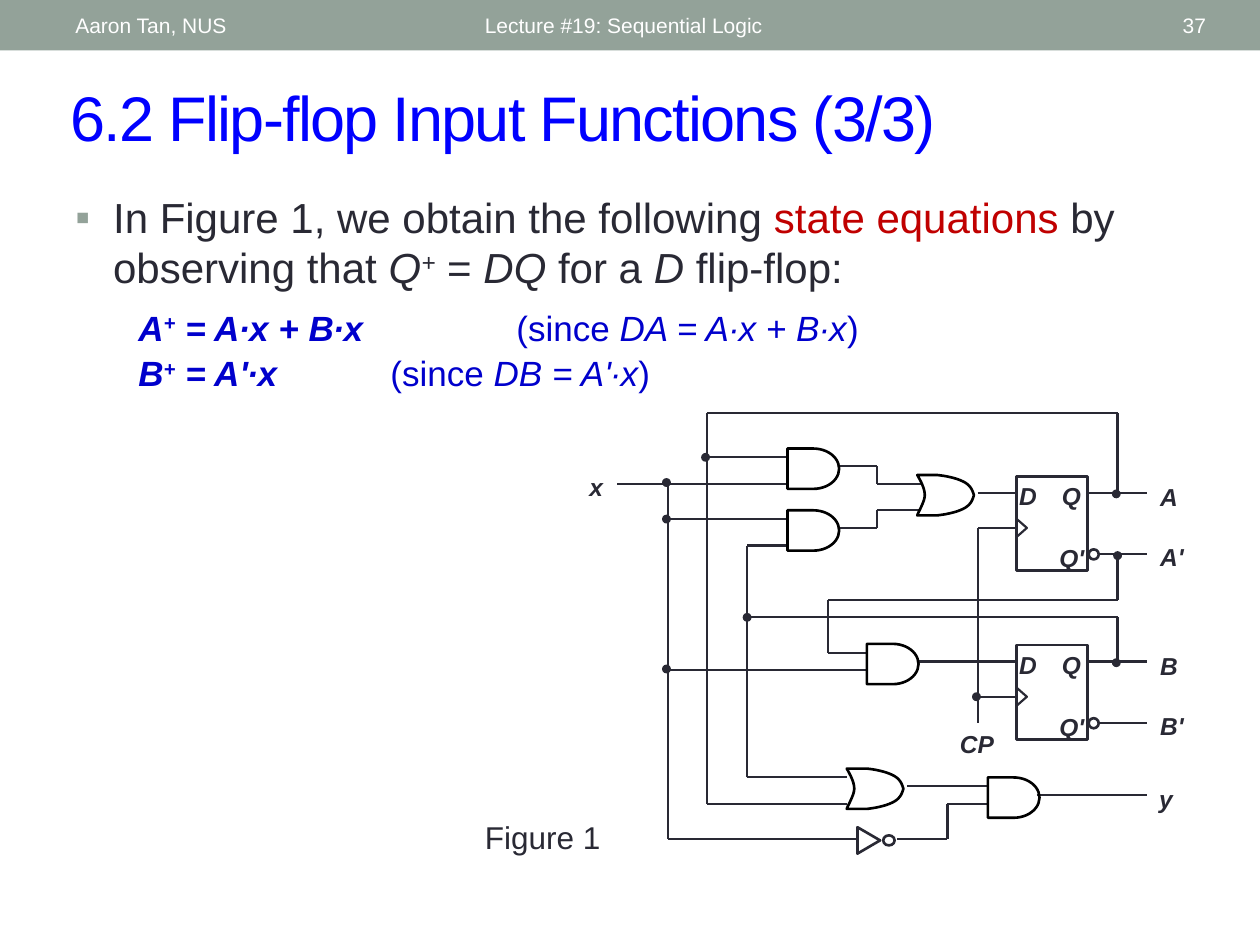
from lxml.etree import SubElement
from pptx import Presentation
from pptx.dml.color import RGBColor
from pptx.enum.shapes import MSO_CONNECTOR, MSO_SHAPE
from pptx.enum.text import MSO_ANCHOR, PP_ALIGN
from pptx.oxml.ns import qn
from pptx.util import Pt

SCALE = 9144
INK, BLACK, WHITE = "292934", "000000", "FFFFFF"
SAGE, BLUE, NAVY, RED = "93A299", "0000FF", "0000CC", "C00000"


def emu(*lengths):
    return [round(length * SCALE) for length in lengths]


def color_of(code):
    return RGBColor.from_string(code)


def write(para, text, size=14, color=INK, bold=False, italic=False, raised=False, spacing=0):
    span = para.add_run()
    span.text = text
    font = span.font
    font.name, font.size, font.bold, font.italic = "Arial", Pt(size), bold, italic
    font.color.rgb = color_of(color)
    properties = span._r.get_or_add_rPr()
    if raised:
        properties.set("baseline", "30000")
    if spacing:
        properties.set("spc", str(spacing))


def curve(start, first, second, end, steps=8):
    for step in range(1, steps + 1):
        t = step / steps
        weights = ((1 - t) ** 3, 3 * t * (1 - t) ** 2, 3 * t * t * (1 - t), t ** 3)
        points = (start, first, second, end)
        yield tuple(sum(w * p[axis] for w, p in zip(weights, points)) for axis in (0, 1))


class CircuitSlide:
    """Draws styled text and logic symbols on the current slide."""

    def __init__(self, deck):
        self.slide = deck.slides.add_slide(deck.slide_layouts[5])
        self.shapes = self.slide.shapes

    def title(self, text, left, top, width, height):
        box = self.shapes.title
        box.left, box.top, box.width, box.height = emu(left, top, width, height)
        box.text_frame.vertical_anchor = MSO_ANCHOR.MIDDLE
        para = box.text_frame.paragraphs[0]
        para.alignment = PP_ALIGN.LEFT
        write(para, text, size=36, color=BLUE, spacing=-100)

    def text_box(self, left, top, width, height, wrap=True, anchor=MSO_ANCHOR.TOP):
        frame = self.shapes.add_textbox(*emu(left, top, width, height)).text_frame
        frame.word_wrap = wrap
        frame.vertical_anchor = anchor
        return frame

    def header(self, text, left, width, align=PP_ALIGN.LEFT):
        frame = self.text_box(left, 2, width, 36, anchor=MSO_ANCHOR.MIDDLE)
        para = frame.paragraphs[0]
        para.alignment = align
        write(para, text, size=12, color=WHITE)

    def label(self, text, left, top, width=34):
        frame = self.text_box(left, top, width, 33, wrap=False)
        write(frame.paragraphs[0], text, bold=True, italic=True)

    def shape(self, kind, left, top, width, height, fill=None, line=INK, weight=1.5, turn=0):
        shape = self.shapes.add_shape(kind, *emu(left, top, width, height))
        self.paint(shape, fill, line, weight)
        shape.rotation = turn

    def paint(self, shape, fill, line, weight):
        shape.shadow.inherit = False
        if fill:
            shape.fill.solid()
            shape.fill.fore_color.rgb = color_of(fill)
        else:
            shape.fill.background()
        if line:
            shape.line.color.rgb = color_of(line)
            shape.line.width = Pt(weight)
        else:
            shape.line.fill.background()

    def wire(self, *points):
        for start, end in zip(points, points[1:]):
            line = self.shapes.add_connector(MSO_CONNECTOR.STRAIGHT, *emu(*start, *end))
            line.line.color.rgb = color_of(INK)
            line.line.width = Pt(1.25)
            SubElement(line._element.spPr, qn("a:effectLst"))

    def dot(self, x, y):
        self.shape(MSO_SHAPE.OVAL, x - 3, y - 3, 6, 6, fill=INK, weight=0.75)

    def bubble(self, left, top, width=8, fill=WHITE):
        self.shape(MSO_SHAPE.OVAL, left, top, width, 8, fill=fill)

    def and_gate(self, left, top):
        self.shape(MSO_SHAPE.FLOWCHART_DELAY, left, top, 41, 32, line=BLACK)

    def or_gate(self, left, top):
        upper = [(16, 0), *curve((16, 0), (25, 1), (33, 3), (38, 6)),
                 *curve((38, 6), (43, 9), (44, 13), (45, 16))]
        lower = [(x, 32 - y) for x, y in reversed(upper)]
        back = [*curve((0, 32), (1, 29), (6, 21), (6, 16)),
                *curve((6, 16), (6, 11), (3, 5), (0, 0))]
        outline = [emu(left + x, top + y) for x, y in upper + lower + [(0, 32)] + back]
        builder = self.shapes.build_freeform(*outline[0], scale=1.0)
        builder.add_line_segments(outline[1:], close=True)
        self.paint(builder.convert_to_shape(), None, BLACK, 1.5)

    def inverter(self, left, top):
        self.shape(MSO_SHAPE.FLOWCHART_EXTRACT, left, top, 21, 18, turn=90)
        self.bubble(left + 22, top + 5, width=9, fill=None)

    def flip_flop(self, top, name):
        self.shape(MSO_SHAPE.RECTANGLE, 807, top, 56, 75)
        self.shape(MSO_SHAPE.ISOSCELES_TRIANGLE, 804, top + 37, 14, 8, weight=1.25, turn=90)
        for text, left, drop in (("D", 799, -1), ("Q", 833, -1), ("Q'", 831, 48),
                                 (name, 911, 0), (name + "'", 911, 47)):
            self.label(text, left, top + drop, width=44 if "'" in text else 35)
        for drop in (13, 62):
            self.wire((863, top + drop), (910, top + drop))
        self.bubble(864, top + 58)

    def bullet(self, frame, spans):
        para = frame.paragraphs[0]
        properties = para._p.get_or_add_pPr()
        properties.set("marL", str(30 * SCALE))
        properties.set("indent", str(-30 * SCALE))
        tint = SubElement(properties, qn("a:buClr"))
        SubElement(tint, qn("a:srgbClr")).set("val", SAGE)
        SubElement(properties, qn("a:buFont")).set("typeface", "Arial")
        SubElement(properties, qn("a:buChar")).set("char", "▪")
        for text, style in spans:
            write(para, text, size=24, **style)

    def equation(self, frame, state, inputs, product, gap, before):
        para = frame.add_paragraph()
        para.space_before = Pt(before)
        properties = para._p.get_or_add_pPr()
        properties.set("marL", str(50 * SCALE))
        properties.set("indent", "0")
        properties.set("defTabSz", str(100 * SCALE))
        strong = {"bold": True, "italic": True}
        for text, style in ((state, strong), ("+", {**strong, "raised": True}),
                            (f" = {product}", strong), (f"{gap}(since ", {}),
                            (f"{inputs} = {product}", {"italic": True}), (")", {})):
            write(para, text, size=20, color=NAVY, **style)


def main():
    deck = Presentation()
    deck.slide_width, deck.slide_height = emu(1000, 750)
    page = CircuitSlide(deck)
    page.shape(MSO_SHAPE.RECTANGLE, 0, 0, 1000, 40, fill=SAGE, line=None)
    page.title("6.2 Flip-flop Input Functions (3/3)", 46, 57, 921, 70)
    page.header("Aaron Tan, NUS", 50, 317)
    page.header("Lecture #19: Sequential Logic", 375, 450)
    page.header("37", 872, 95, PP_ALIGN.RIGHT)

    body = page.text_box(50, 147, 900, 229)
    slanted = {"italic": True}
    page.bullet(body, (
        ("In Figure 1, we obtain the following ", {}), ("state equations ", {"color": RED}),
        ("by observing that ", {}), ("Q", slanted), ("+", {"italic": True, "raised": True}),
        (" = ", {}), ("DQ", slanted), (" for a ", {}), ("D", slanted), (" flip-flop:", {})))
    page.equation(body, "A", "DA", "A∙x + B∙x", "\t\t", 8)
    page.equation(body, "B", "DB", "A'∙x", "\t", 2)

    routes = (
        [(490, 384), (625, 384)],
        [(530, 384), (530, 666), (680, 666)],
        [(530, 412), (625, 412)],
        [(530, 532), (688, 532)],
        [(561, 363), (625, 363)],
        [(672, 638), (561, 638), (561, 328), (887, 328), (887, 391)],
        [(672, 617), (593, 617), (593, 433), (625, 433)],
        [(593, 490), (887, 490), (887, 525)],
        [(887, 440), (887, 476), (657, 476), (657, 518), (688, 518)],
        [(665, 370), (696, 370), (696, 384), (731, 384)],
        [(665, 419), (696, 419), (696, 405), (731, 405)],
        [(776, 391), (807, 391)],
        [(728, 525), (807, 525)],
        [(807, 419), (776, 419), (776, 574)],
        [(776, 553), (807, 553)],
        [(720, 624), (784, 624)],
        [(712, 666), (752, 666), (752, 638), (784, 638)],
        [(823, 631), (910, 631)],
    )
    for route in routes:
        page.wire(*route)
    for x, y in ((887, 441), (886, 392), (886, 526), (560, 363), (529, 383),
                 (529, 412), (529, 531), (775, 553), (593, 490)):
        page.dot(x, y)
    for left, top in ((625, 356), (625, 405), (688, 511), (784, 617)):
        page.and_gate(left, top)
    for left, top in ((728, 377), (672, 610)):
        page.or_gate(left, top)
    page.inverter(679, 658)
    page.flip_flop(378, "A")
    page.flip_flop(512, "B")
    page.label("x", 458, 370, width=31)
    page.label("y", 910, 617, width=31)
    page.label("CP", 752, 574, width=47)
    write(page.text_box(375, 644, 125, 40).paragraphs[0], "Figure 1", size=18)
    deck.save("out.pptx")


if __name__ == "__main__":
    main()
